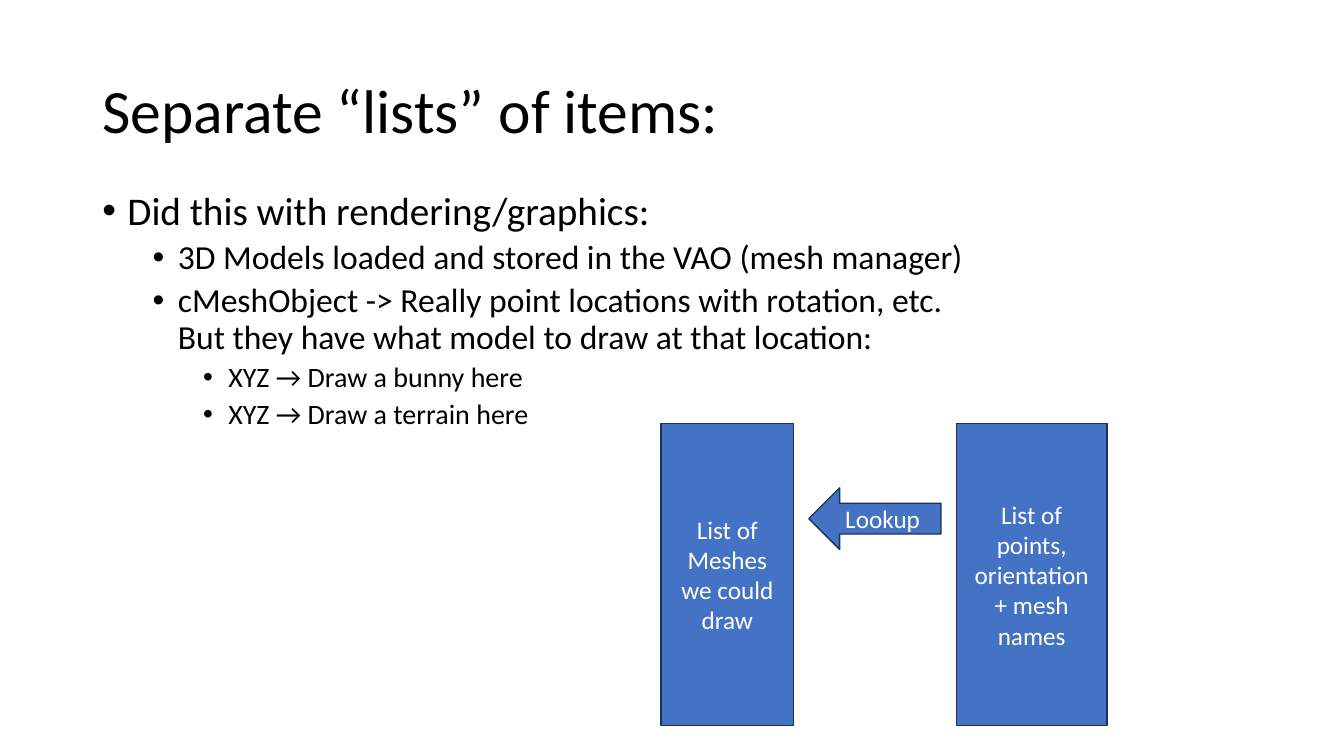
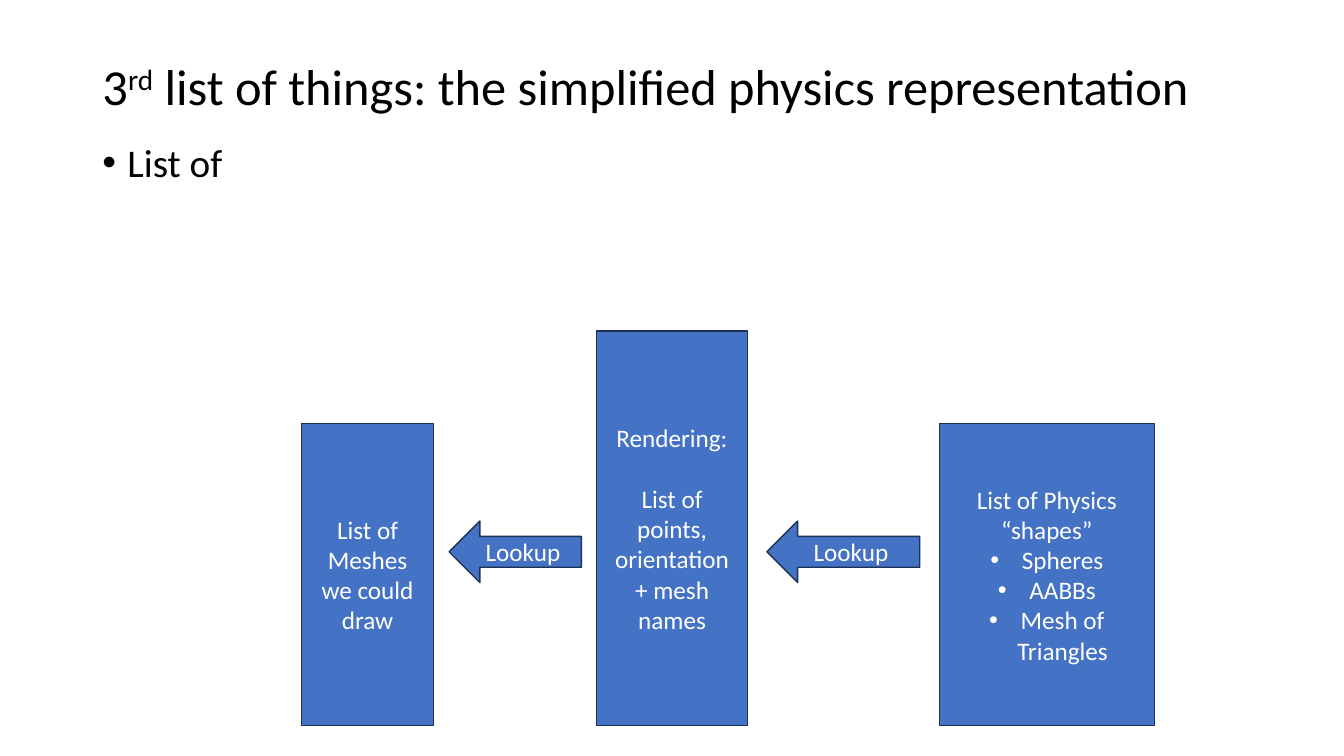
from pptx import Presentation
from pptx.dml.color import RGBColor
from pptx.enum.shapes import MSO_SHAPE as Shape
from pptx.enum.text import MSO_ANCHOR as Anchor, MSO_AUTO_SIZE as Fit, PP_ALIGN as Align
from pptx.oxml.ns import qn
from pptx.util import Pt
from lxml.etree import SubElement

BLACK, WHITE, BLUE, NAVY = "000000", "FFFFFF", "4472C4", "1E3256"
FONT = "Calibri"
LEFT, WIDTH = 66, 828
BASE = 518.4  # bottom edge of the boxes
SIZES = (28, 24, 20)
MESHES = ["List of Meshes we could draw"]
POINTS = "List of points, orientation + mesh names"


def color(code):
    return RGBColor.from_string(code)


def style(para, size, code):
    for run in para.runs:
        run.font.name = FONT
        run.font.size = Pt(size)
        run.font.color.rgb = color(code)


def bullet(para, margin, hang):
    props = para._p.get_or_add_pPr()
    props.set("marL", str(Pt(margin)))
    props.set("indent", str(-Pt(hang)))
    SubElement(props, qn("a:buFont")).set("typeface", "Arial")
    SubElement(props, qn("a:buChar")).set("char", "•")


def fill_paras(frame, texts):
    """Write one paragraph per text and return the paragraphs."""
    for i, text in enumerate(texts):
        para = frame.paragraphs[0] if i == 0 else frame.add_paragraph()
        para.text = text
    return frame.paragraphs


def add_title(slide, parts, height, size):
    """Place the title; every second part is raised."""
    title = slide.shapes.title
    title.left, title.top = Pt(LEFT), Pt(28.75)
    title.width, title.height = Pt(WIDTH), Pt(height)
    frame = title.text_frame
    frame.word_wrap, frame.auto_size = True, Fit.NONE
    frame.vertical_anchor = Anchor.MIDDLE
    para = frame.paragraphs[0]
    para.alignment, para.line_spacing = Align.LEFT, 0.9
    for i, part in enumerate(parts):
        run = para.add_run()
        run.text = part
        if i % 2:
            run._r.get_or_add_rPr().set("baseline", "30000")
    style(para, size, BLACK)


def add_body(slide, top, items):
    """Place an outline of (level, text) items."""
    box = slide.shapes.add_textbox(Pt(LEFT), Pt(top), Pt(WIDTH), Pt(342.6))
    frame = box.text_frame
    frame.word_wrap = True
    paras = fill_paras(frame, [text for _, text in items])
    for para, (level, _) in zip(paras, items):
        para.level, para.line_spacing = level, 0.9
        para.space_before = Pt(5 if level else 10)
        bullet(para, 18 + 36 * level, 18)
        style(para, SIZES[level], BLACK)


def add_shape(slide, kind, left, top, width, height, texts):
    shape = slide.shapes.add_shape(kind, Pt(left), Pt(top), Pt(width), Pt(height))
    shape.shadow.inherit = False
    shape.fill.solid()
    shape.fill.fore_color.rgb = color(BLUE)
    shape.line.color.rgb = color(NAVY)
    shape.line.width = Pt(1)
    frame = shape.text_frame
    frame.word_wrap, frame.vertical_anchor = True, Anchor.MIDDLE
    for para in fill_paras(frame, texts):
        para.alignment = Align.CENTER
        style(para, 18, WHITE)
    return shape


def add_box(slide, left, width, texts, height=216):
    return add_shape(slide, Shape.RECTANGLE, left, BASE - height, width, height, texts)


def add_arrow(slide, first, second, top, gap):
    """Point from the second box back to the first."""
    start = first.left.pt + first.width.pt + gap
    width = second.left.pt - gap - start
    add_shape(slide, Shape.LEFT_ARROW, start, top, width, 44, ["Lookup"])


def lists_slide(slide):
    add_title(slide, ["Separate “lists” of items:"], 104.4, 44)
    add_body(slide, 133.1, [
        (0, "Did this with rendering/graphics:"),
        (1, "3D Models loaded and stored in the VAO (mesh manager)"),
        (1, "cMeshObject -> Really point locations with rotation, etc.\n"
            "But they have what model to draw at that location:"),
        (2, "XYZ → Draw a bunny here"),
        (2, "XYZ → Draw a terrain here"),
    ])
    meshes = add_box(slide, 472.3, 94.5, MESHES)
    points = add_box(slide, 683.2, 107.5, [POINTS])
    add_arrow(slide, meshes, points, 348.5, 11)


def physics_slide(slide):
    add_title(slide, ["3", "rd", " list of things: the simplified physics representation"],
              70.2, 36)
    add_body(slide, 98.9, [(0, "List of")])
    meshes = add_box(slide, 215.3, 94.5, MESHES)
    points = add_box(slide, 426.3, 107.5, ["Rendering:", POINTS], 282)
    points.text_frame.paragraphs[0].space_after = Pt(22)
    physics = add_box(slide, 671, 153.5, ["List of Physics “shapes”", "Spheres", "AABBs",
                                          "Mesh of Triangles"])
    for para in physics.text_frame.paragraphs[1:]:
        bullet(para, 22.5, 22.5)
    add_arrow(slide, meshes, points, 372.2, 11)
    add_arrow(slide, points, physics, 372.2, 14)


def main():
    deck = Presentation()
    deck.slide_width, deck.slide_height = Pt(960), Pt(540)
    for build in (lists_slide, physics_slide):
        build(deck.slides.add_slide(deck.slide_layouts[5]))
    deck.save("out.pptx")


if __name__ == "__main__":
    main()
